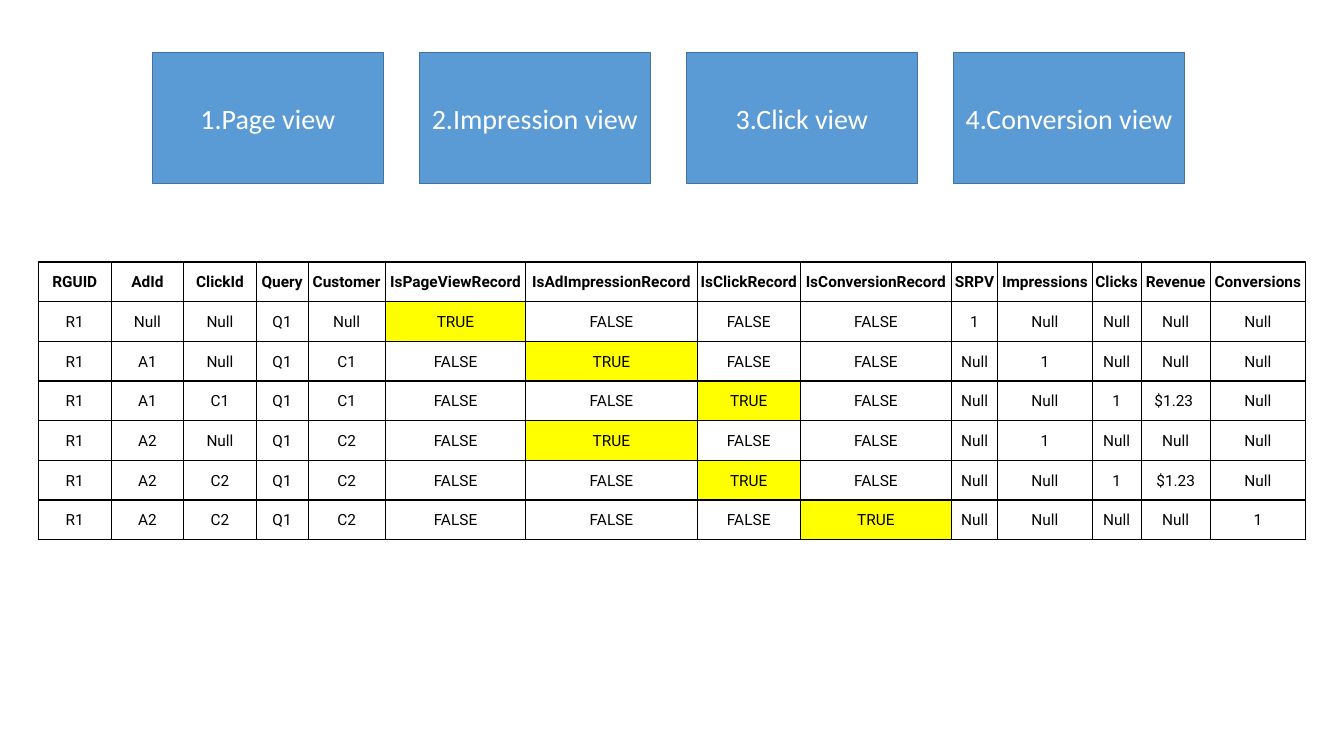
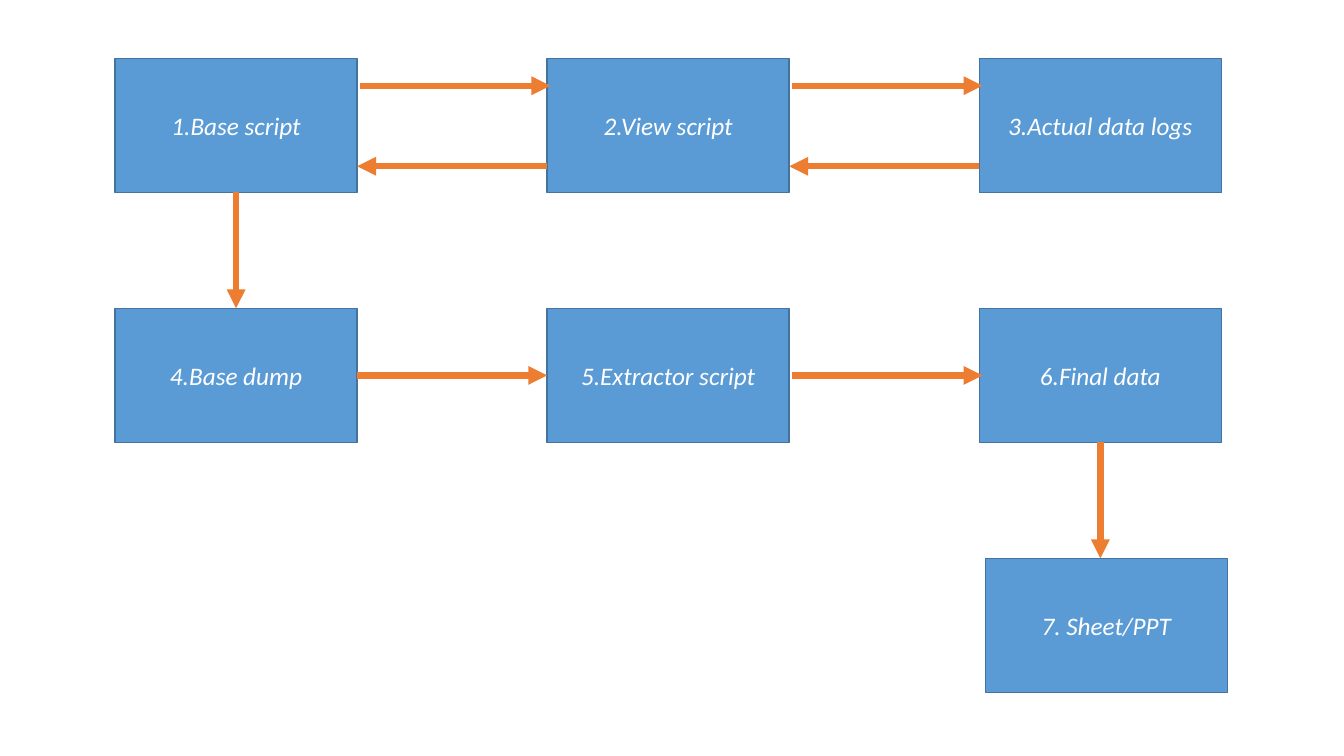
from dataclasses import dataclass
from typing import NamedTuple

from lxml.etree import SubElement
from pptx import Presentation
from pptx.dml.color import RGBColor
from pptx.enum.shapes import MSO_CONNECTOR, MSO_SHAPE
from pptx.enum.text import MSO_ANCHOR, PP_ALIGN
from pptx.oxml.ns import qn
from pptx.slide import Slide
from pptx.table import _Cell
from pptx.text.text import TextFrame
from pptx.util import Cm, Pt

BLUE = RGBColor(0x5B, 0x9B, 0xD5)
DARK_BLUE = RGBColor(0x43, 0x73, 0x9E)
ORANGE = RGBColor(0xED, 0x7D, 0x31)
YELLOW = RGBColor(0xFF, 0xFF, 0x00)
BLACK = RGBColor(0x00, 0x00, 0x00)
WHITE = RGBColor(0xFF, 0xFF, 0xFF)

BOX_FONT = "Calibri"
TABLE_FONT = "Roboto"


@dataclass(frozen=True)
class BoxStyle:
    width: float
    height: float
    size: int
    italic: bool


@dataclass(frozen=True)
class Step:
    label: str
    column: int
    row: int
    shift: float = 0


class Flow(NamedTuple):
    x1: float
    y1: float
    x2: float
    y2: float


class Field(NamedTuple):
    heading: str
    width: float


VIEW_BOX = BoxStyle(5.82, 3.3, 20, False)
STEP_BOX = BoxStyle(6.1, 3.38, 18, True)

VIEWS = ("1.Page view", "2.Impression view", "3.Click view", "4.Conversion view")
VIEW_LEFT, VIEW_TOP, VIEW_PITCH = 3.84, 1.32, 6.73

FIELDS = (
    Field("RGUID", 1.83),
    Field("AdId", 1.83),
    Field("ClickId", 1.83),
    Field("Query", 1.3),
    Field("Customer", 1.95),
    Field("IsPageViewRecord", 3.54),
    Field("IsAdImpressionRecord", 4.32),
    Field("IsClickRecord", 2.6),
    Field("IsConversionRecord", 3.81),
    Field("SRPV", 1.16),
    Field("Impressions", 2.39),
    Field("Clicks", 1.22),
    Field("Revenue", 1.76),
    Field("Conversions", 2.38),
)
RECORDS = (
    "R1|Null|Null|Q1|Null|TRUE|FALSE|FALSE|FALSE|1|Null|Null|Null|Null",
    "R1|A1|Null|Q1|C1|FALSE|TRUE|FALSE|FALSE|Null|1|Null|Null|Null",
    "R1|A1|C1|Q1|C1|FALSE|FALSE|TRUE|FALSE|Null|Null|1|$1.23 |Null",
    "R1|A2|Null|Q1|C2|FALSE|TRUE|FALSE|FALSE|Null|1|Null|Null|Null",
    "R1|A2|C2|Q1|C2|FALSE|FALSE|TRUE|FALSE|Null|Null|1|$1.23|Null",
    "R1|A2|C2|Q1|C2|FALSE|FALSE|FALSE|TRUE|Null|Null|Null|Null|1",
)
TABLE_LEFT, TABLE_TOP, ROW_HEIGHT = 0.97, 6.6, 1.0

STEPS = (
    Step("1.Base script", 0, 0),
    Step("2.View script", 1, 0),
    Step("3.Actual data logs", 2, 0),
    Step("4.Base dump", 0, 1),
    Step("5.Extractor script", 1, 1),
    Step("6.Final data", 2, 1),
    Step("7. Sheet/PPT", 2, 2, 0.15),
)
STEP_LEFT, STEP_TOP = 2.9, 1.47
COLUMN_PITCH, ROW_PITCH = 10.89, 6.3
REQUEST_Y, RESPONSE_Y = 2.16, 4.19
FLOW_SHIFT = 0.08


def style_text(frame: TextFrame, text: str, font_name: str, size: int,
               color: RGBColor, bold: bool = False, italic: bool = False) -> None:
    frame.text = text
    paragraph = frame.paragraphs[0]
    paragraph.alignment = PP_ALIGN.CENTER
    font = paragraph.runs[0].font
    font.name = font_name
    font.size = Pt(size)
    font.color.rgb = color
    font.bold = bold
    font.italic = italic


def draw_box(slide: Slide, label: str, left: float, top: float, style: BoxStyle) -> None:
    box = slide.shapes.add_shape(
        MSO_SHAPE.RECTANGLE, Cm(left), Cm(top), Cm(style.width), Cm(style.height))
    box.shadow.inherit = False
    box.fill.solid()
    box.fill.fore_color.rgb = BLUE
    box.line.color.rgb = DARK_BLUE
    box.line.width = Pt(1)
    box.text_frame.word_wrap = True
    box.text_frame.vertical_anchor = MSO_ANCHOR.MIDDLE
    style_text(box.text_frame, label, BOX_FONT, style.size, WHITE, italic=style.italic)


def draw_flow(slide: Slide, flow: Flow) -> None:
    arrow = slide.shapes.add_connector(
        MSO_CONNECTOR.STRAIGHT, *(Cm(value) for value in flow))
    arrow.line.color.rgb = ORANGE
    arrow.line.width = Pt(4.5)
    SubElement(arrow.line._get_or_add_ln(), qn("a:tailEnd"), type="triangle")
    SubElement(arrow._element.spPr, qn("a:effectLst"))


def draw_borders(cell: _Cell, first: bool, last: bool) -> None:
    widths = {
        "a:lnL": 1 if first else 0.5,
        "a:lnR": 1 if last else 0.5,
        "a:lnT": 1,
        "a:lnB": 1,
    }
    properties = cell._tc.get_or_add_tcPr()
    for tag, width in widths.items():
        border = SubElement(properties, qn(tag), w=str(Pt(width)))
        fill = SubElement(border, qn("a:solidFill"))
        SubElement(fill, qn("a:srgbClr"), val=str(BLACK))


def draw_records(slide: Slide) -> None:
    rows = [[field.heading for field in FIELDS]]
    rows += [record.split("|") for record in RECORDS]
    table = slide.shapes.add_table(
        len(rows), len(FIELDS), Cm(TABLE_LEFT), Cm(TABLE_TOP),
        Cm(sum(field.width for field in FIELDS)), Cm(ROW_HEIGHT * len(rows))).table
    table.first_row = False
    table.horz_banding = False
    for column, field in zip(table.columns, FIELDS):
        column.width = Cm(field.width)
    for row_index, values in enumerate(rows):
        table.rows[row_index].height = Cm(ROW_HEIGHT)
        for column_index, value in enumerate(values):
            cell = table.cell(row_index, column_index)
            cell.margin_left = cell.margin_right = cell.margin_top = Cm(0.03)
            cell.margin_bottom = 0
            cell.vertical_anchor = MSO_ANCHOR.MIDDLE
            style_text(cell.text_frame, value, TABLE_FONT, 11, BLACK, bold=row_index == 0)
            draw_borders(cell, column_index == 0, column_index == len(FIELDS) - 1)
            if value == "TRUE":
                cell.fill.solid()
                cell.fill.fore_color.rgb = YELLOW
            else:
                cell.fill.background()


def step_left(column: int) -> float:
    return STEP_LEFT + column * COLUMN_PITCH


def step_top(row: int) -> float:
    return STEP_TOP + row * ROW_PITCH


def flow_right(column: int, y: float, shift: float = 0) -> Flow:
    return Flow(step_left(column) + STEP_BOX.width + shift, y,
                step_left(column + 1) + shift, y)


def flow_left(column: int, y: float) -> Flow:
    return Flow(step_left(column), y, step_left(column - 1) + STEP_BOX.width, y)


def flow_down(column: int, row: int) -> Flow:
    center = step_left(column) + STEP_BOX.width / 2
    return Flow(center, step_top(row) + STEP_BOX.height, center, step_top(row + 1))


def build_views(slide: Slide) -> None:
    draw_records(slide)
    for index, label in enumerate(VIEWS):
        draw_box(slide, label, VIEW_LEFT + index * VIEW_PITCH, VIEW_TOP, VIEW_BOX)


def build_pipeline(slide: Slide) -> None:
    for step in STEPS:
        draw_box(slide, step.label, step_left(step.column) + step.shift,
                 step_top(step.row), STEP_BOX)
    extraction_y = step_top(1) + STEP_BOX.height / 2
    flows = (
        flow_right(0, REQUEST_Y, FLOW_SHIFT),
        flow_right(1, REQUEST_Y, FLOW_SHIFT),
        flow_left(1, RESPONSE_Y),
        flow_left(2, RESPONSE_Y),
        flow_down(0, 0),
        flow_right(0, extraction_y),
        flow_right(1, extraction_y, FLOW_SHIFT),
        flow_down(2, 1),
    )
    for flow in flows:
        draw_flow(slide, flow)


def main() -> None:
    deck = Presentation()
    deck.slide_width = Cm(33.87)
    deck.slide_height = Cm(19.05)
    blank_layout = deck.slide_layouts.get_by_name("Blank")
    for build in (build_views, build_pipeline):
        build(deck.slides.add_slide(blank_layout))
    deck.save("out.pptx")


main()
